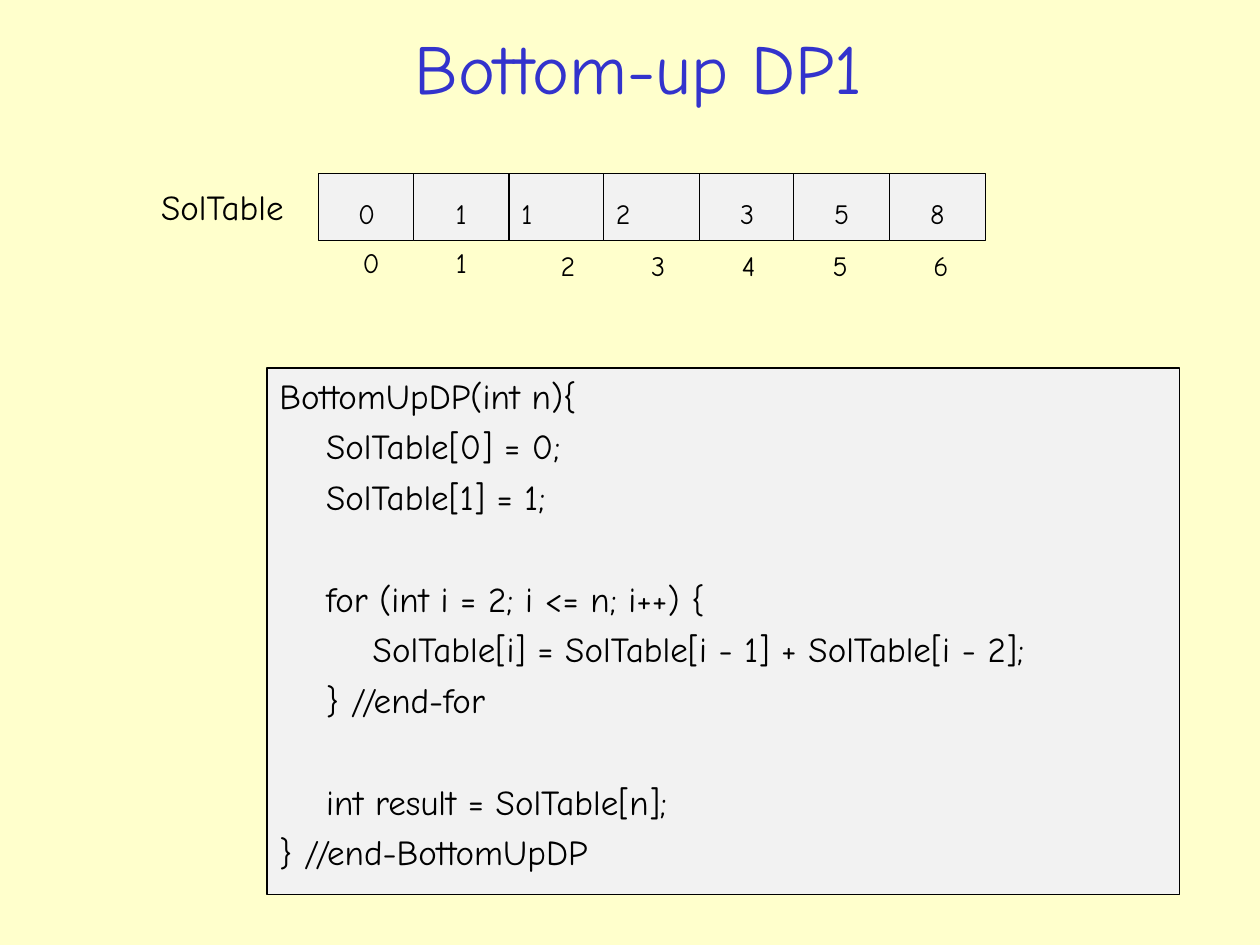
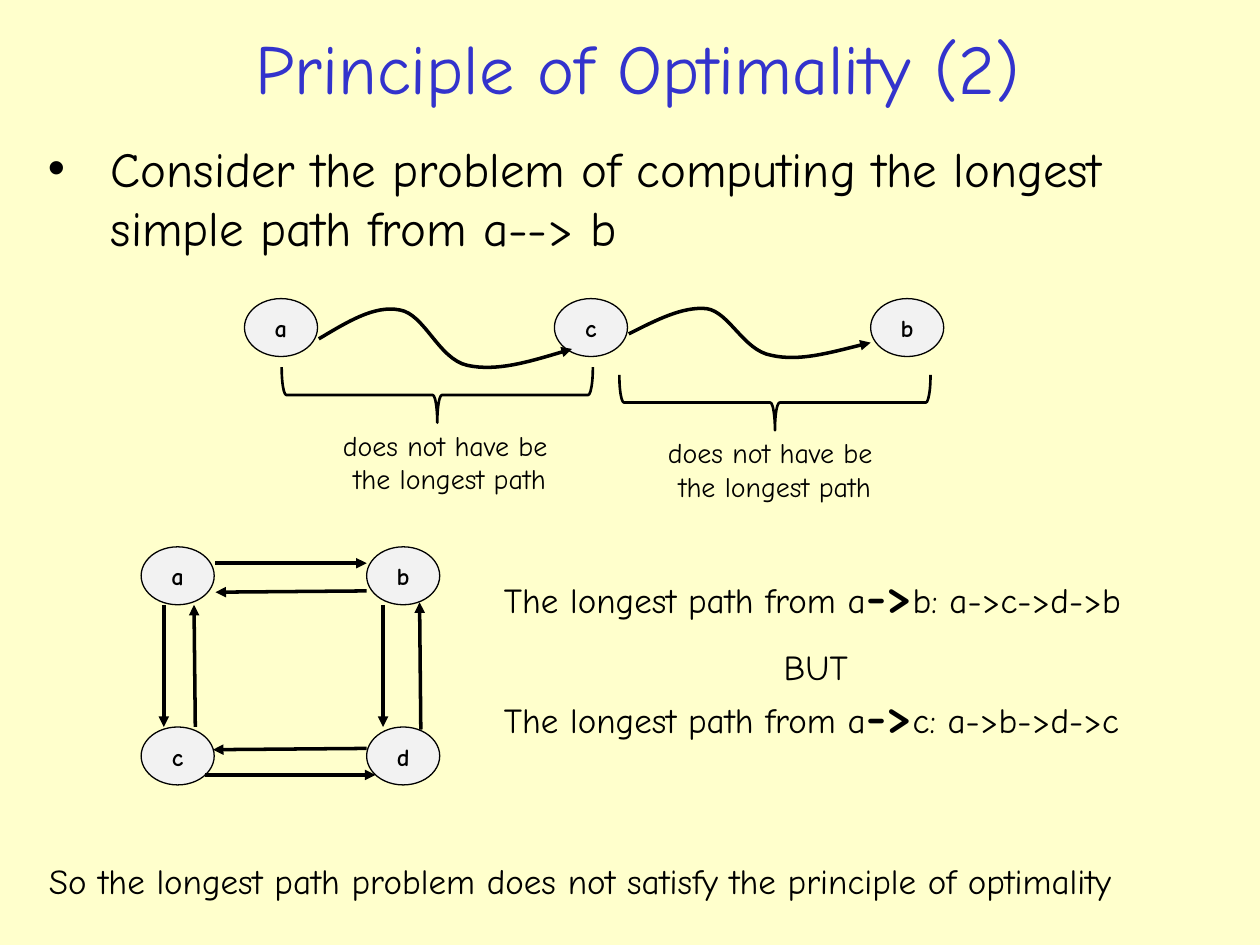
from pptx import Presentation
from pptx import util as u
from pptx.dml.color import RGBColor
from pptx.enum import shapes, text
from pptx.oxml.ns import qn
from lxml import etree

CREAM = RGBColor(0xFF, 0xFF, 0xCC)
BLUE = RGBColor(0x33, 0x33, 0xCC)
GREY = RGBColor(0xF2, 0xF2, 0xF2)
BLACK = RGBColor(0, 0, 0)
FONT = "Comic Neue"
SCALE = 9144
FORM = shapes.MSO_SHAPE
MID = text.PP_ALIGN.CENTER
LEFT = text.PP_ALIGN.LEFT
TOP = text.MSO_ANCHOR.TOP
FIT = text.MSO_AUTO_SIZE.SHAPE_TO_FIT_TEXT
NONE = text.MSO_AUTO_SIZE.NONE


def px(val):
    """Turn px, 100 to the inch, into EMU."""
    return u.Emu(val * SCALE)


def assign(obj, **vals):
    """Set each named format value on an object."""
    for name, val in vals.items():
        setattr(obj, name, val)


def place(shape, box):
    """Move a shape to a box of left, top, width and height."""
    assign(shape, **dict(zip(("left", "top", "width", "height"), map(px, box))))


def write(par, words, size, color=BLACK, bold=False, **form):
    """Add one run to a paragraph and format both."""
    run = par.add_run()
    run.text = words
    assign(run.font, name=FONT, size=u.Pt(size), bold=bold)
    run.font.color.rgb = color
    assign(par, **form)


def indent(par, left, first=0):
    """Set the left margin and first-line indent of a paragraph."""
    props = par._p.get_or_add_pPr()
    props.set("marL", str(px(left)))
    props.set("indent", str(px(first)))


def label(slide, box, lines, size, align=LEFT, wrap=False):
    """Add a text box with one paragraph a line and return its paragraphs."""
    frame = slide.shapes.add_textbox(*map(px, box)).text_frame
    assign(frame, word_wrap=wrap, auto_size=NONE if wrap else FIT)
    for num, line in enumerate(lines):
        par = frame.add_paragraph() if num else frame.paragraphs[0]
        write(par, line, size, alignment=align)
    return frame.paragraphs


def panel(slide, form, box):
    """Add a grey outlined shape and return its text frame."""
    shape = slide.shapes.add_shape(form, *map(px, box))
    shape.shadow.inherit = False
    shape.fill.solid()
    shape.fill.fore_color.rgb = GREY
    stroke(shape, 0.75)
    shape.text_frame.vertical_anchor = TOP
    return shape.text_frame


def stroke(shape, width, head=False):
    """Give a shape a black line, with an arrowhead at its end if asked."""
    shape.line.color.rgb = BLACK
    shape.line.width = u.Pt(width)
    if head:
        line = shape.line._get_or_add_ln()
        etree.SubElement(line, qn("a:tailEnd"), type="triangle")


def start(deck, layout, title, box):
    """Add a slide with its title."""
    slide = deck.slides.add_slide(deck.slide_layouts[layout])
    head = slide.shapes.title
    place(head, box)
    assign(head.text_frame, vertical_anchor=text.MSO_ANCHOR.MIDDLE, auto_size=NONE)
    write(head.text_frame.paragraphs[0], title, 40, BLUE, alignment=MID)
    return slide


def array(slide, box):
    """Draw the solution table as a row of cells with indices below."""
    left, top, width, height = box
    vals = "0112358"
    marks = (25, 99, 182, 254, 326, 398, 478)
    label(slide, (left - 135, top + 4, 120, 44), ["SolTable"], 20)
    for num, (val, mark) in enumerate(zip(vals, marks)):
        cell = (left + num * width // len(vals), top, 76, height)
        frame = panel(slide, FORM.RECTANGLE, cell)
        align = LEFT if num in (2, 3) else MID
        write(frame.paragraphs[0], val, 16, alignment=align, line_spacing=1.5)
        drop = height - 1 if num < 2 else height + 1
        label(slide, (left + mark, top + drop, 32, 37), [str(num)], 16)


def code(slide, box):
    """Draw the code panel, each line with its depth and space before."""
    lines = (
        (0, 5, "BottomUpDP(int n){"),
        (1, 5, "SolTable[0] = 0;"),
        (1, 5, "SolTable[1] = 1;"),
        (1, 34, "for (int i = 2; i <= n; i++) {"),
        (2, 5, "SolTable[i] = SolTable[i - 1] + SolTable[i - 2];"),
        (1, 5, "} //end-for"),
        (1, 34, "int result = SolTable[n];"),
        (0, 5, "} //end-BottomUpDP"),
    )
    frame = panel(slide, FORM.RECTANGLE, box)
    for num, (depth, gap, line) in enumerate(lines):
        par = frame.add_paragraph() if num else frame.paragraphs[0]
        write(par, line, 20, alignment=LEFT, space_before=u.Pt(gap))
        indent(par, 37 * depth)


def node(slide, left, top, name):
    """Draw a graph node."""
    frame = panel(slide, FORM.OVAL, (left, top, 58, 46))
    write(frame.paragraphs[0], name, 14, bold=True, alignment=MID)


def curve(slide, left, top, first, parts):
    """Draw a curved arrow from cubic parts of two controls and an end."""
    ends = [(left + x, top + y) for *_, (x, y) in parts]
    origin = (left + first[0], top + first[1])
    pen = slide.shapes.build_freeform(*origin, scale=SCALE)
    pen.add_line_segments(ends, close=False)
    shape = pen.convert_to_shape()
    low = [min(axis) for axis in zip(first, *(part[-1] for part in parts))]
    for seg, part in zip(list(shape._element.iter(qn("a:lnTo"))), parts):
        seg.tag = qn("a:cubicBezTo")
        for spot, (x, y) in enumerate(part[:2]):
            point = etree.Element(qn("a:pt"), x=str(x - low[0]), y=str(y - low[1]))
            seg.insert(spot, point)
    shape.shadow.inherit = False
    shape.fill.background()
    stroke(shape, 2, head=True)


def brace(slide, left, top):
    """Draw a downward brace with its note below."""
    shape = slide.shapes.add_shape(FORM.RIGHT_BRACE, *map(px, (left + 101, top - 101, 44, 247)))
    shape.rotation = 90
    shape.shadow.inherit = False
    shape.fill.background()
    stroke(shape, 1.5)


def chain(slide, box):
    """Draw the path from a through c to b with its two notes."""
    left, top = box[:2]
    for name, shift in (("a", 0), ("c", 246), ("b", 497)):
        node(slide, left + shift, top, name)
    curve(slide, left, top, (59, 32), (
        ((81, 19), (103, 5), (123, 9)),
        ((143, 12), (154, 48), (177, 53)),
        ((200, 58), (230, 49), (260, 40)),
    ))
    curve(slide, left, top, (305, 28), (
        ((327, 17), (348, 6), (367, 8)),
        ((385, 11), (396, 41), (418, 45)),
        ((440, 50), (468, 42), (497, 35)),
    ))
    note = ["does not have be ", "the longest path"]
    for arc, drop, shift in ((30, 54, 68), (298, 60, 326)):
        brace(slide, left + arc, top + drop)
        label(slide, (left + shift, top + drop + 44, 190, 64), note, 16, MID)


def graph(slide, box):
    """Draw the four nodes of the graph and the arrows between them."""
    left, top, width, height = box
    for num, name in enumerate("abcd"):
        node(slide, left + num % 2 * (width - 58), top + num // 2 * (height - 46), name)
    arrows = (
        (59, 13, 179, 13), (18, 46, 18, 143), (192, 46, 192, 143), (51, 181, 186, 181),
        (43, 143, 42, 46), (179, 35, 59, 36), (222, 145, 221, 44), (179, 160, 57, 161),
    )
    for x, y, far, low in arrows:
        ends = (left + x, top + y, left + far, top + low)
        line = slide.shapes.add_connector(shapes.MSO_CONNECTOR.STRAIGHT, *map(px, ends))
        stroke(line, 2, head=True)
        etree.SubElement(line._element.spPr, qn("a:effectLst"))


def claims(slide, box):
    """Write the two longest paths and the word between them."""
    left, top, width, height = box
    for drop, tail in ((0, "b: a->c->d->b"), (95, "c: a->b->d->c")):
        spot = (left, top + drop, width, 57)
        par = label(slide, spot, ["The longest path from a"], 20, wrap=True)[0]
        write(par, "->", 28, bold=True)
        write(par, tail, 20)
    label(slide, (left + 222, top + 64, 71, 44), ["BUT"], 20, MID)


def lead(slide, box):
    """Fill the body with its one bullet."""
    body = slide.placeholders[1]
    place(body, box)
    body.text_frame.auto_size = NONE
    par = body.text_frame.paragraphs[0]
    words = "Consider the problem of computing the longest simple path from a--> b"
    write(par, words, 28, space_before=u.Pt(7))
    indent(par, 56, -50)


def close(slide, box):
    """Write the conclusion at the foot of the slide."""
    words = "So the longest path problem does not satisfy the principle of optimality"
    par = label(slide, box, [words], 20, wrap=True)[0]
    par.space_before = u.Pt(5)
    indent(par, 6)


def main():
    """Build both slides and save them."""
    deck = Presentation()
    assign(deck, slide_width=px(1000), slide_height=px(750))
    back = deck.slide_master.background.fill
    back.solid()
    back.fore_color.rgb = CREAM

    slide = start(deck, 5, "Bottom-up DP1", (30, 15, 954, 76))
    array(slide, (253, 138, 529, 53))
    code(slide, (212, 292, 724, 418))

    slide = start(deck, 1, "Principle of Optimality (2)", (0, 15, 1012, 76))
    lead(slide, (22, 105, 963, 115))
    chain(slide, (194, 237, 555, 162))
    graph(slide, (112, 434, 237, 189))
    claims(slide, (390, 443, 531, 152))
    close(slide, (23, 677, 962, 49))
    deck.save("out.pptx")


if __name__ == "__main__":
    main()
